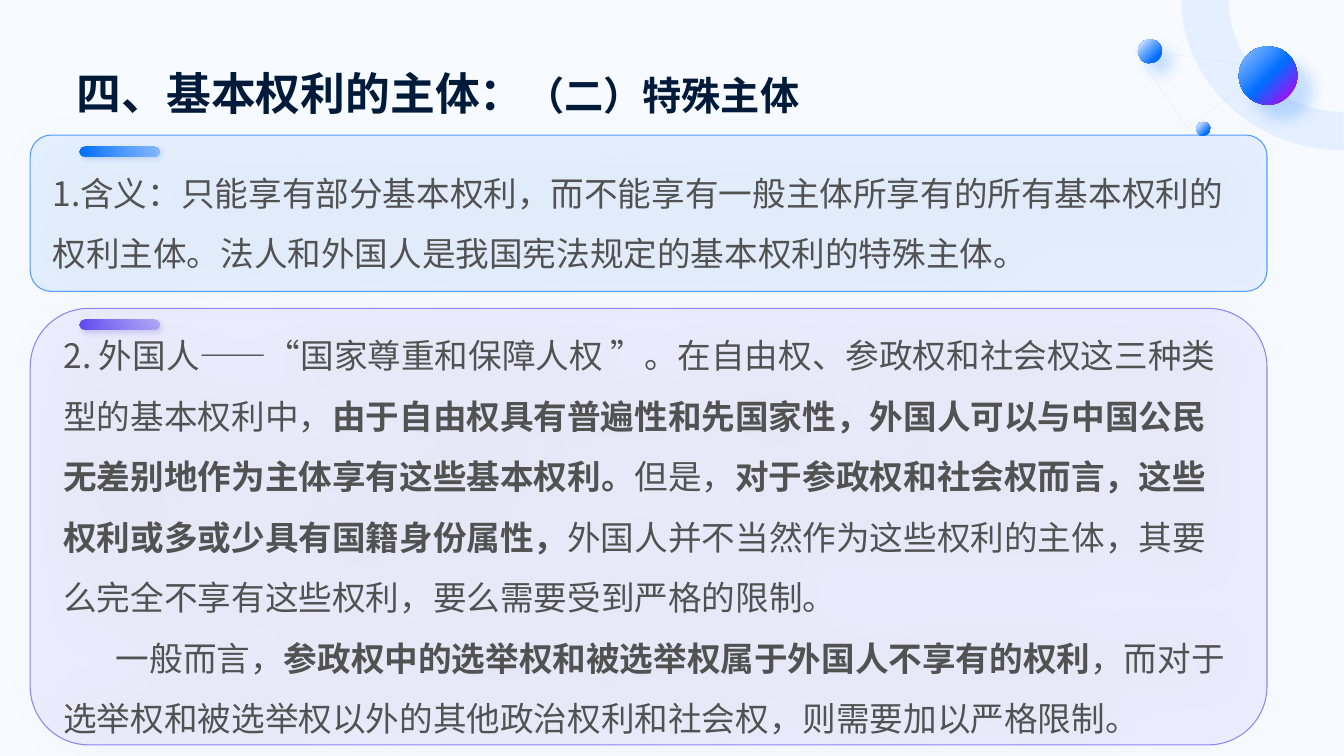
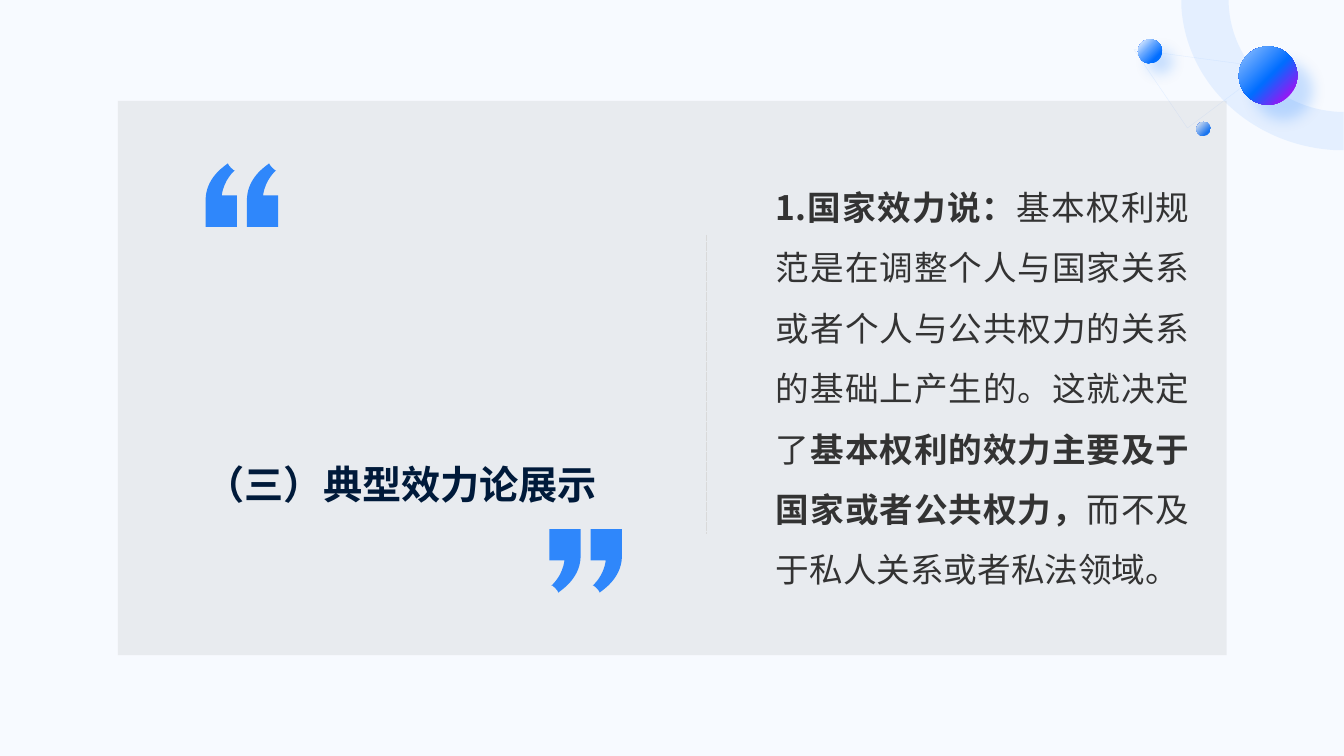
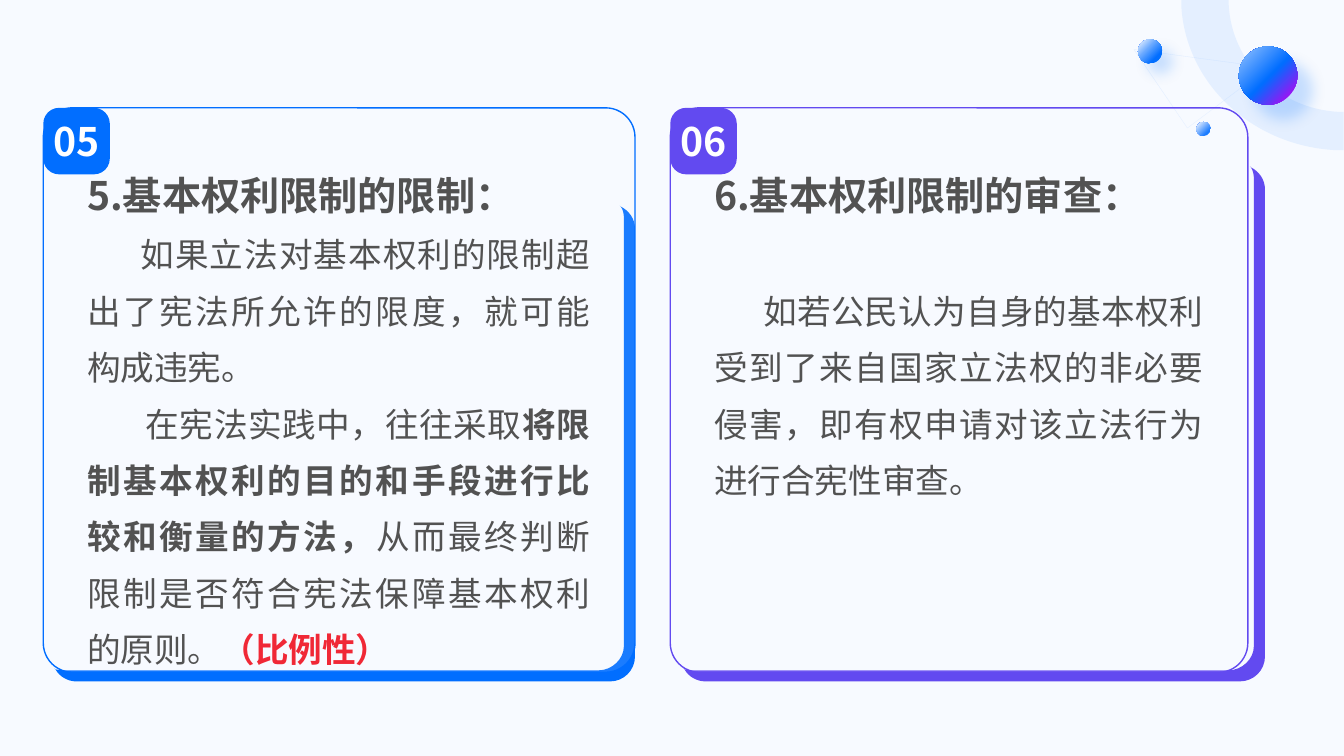
from dataclasses import dataclass
from typing import Optional

from lxml.etree import Element, SubElement
from pptx import Presentation
from pptx.dml.color import RGBColor
from pptx.enum.dml import MSO_LINE
from pptx.enum.shapes import MSO_CONNECTOR, MSO_SHAPE
from pptx.enum.text import MSO_ANCHOR, PP_ALIGN
from pptx.oxml import parse_xml
from pptx.oxml.ns import nsdecls, qn
from pptx.util import Pt

EMU_PER_PX = 9144  # 100 px to the inch
SLIDE_SIZE = (1333.33, 750)
BODY_FONT, TITLE_FONT = "Noto Sans CJK SC", "Arial"
COLORS = {
    "page": "F7FAFF", "white": "FFFFFF", "black": "000000", "navy": "001A3A",
    "ink": "525252", "dark": "333333", "grey": "999999", "rule": "D9D9D9",
    "blue": "016EFF", "sky": "67A8FF", "pale": "99C5FF", "mist": "CCE2FF",
    "deep_blue": "0052C0", "violet": "624AF0", "lilac": "A192F6",
    "deep_violet": "2F12D9", "purple": "9618F4", "red": "F02836",
}


@dataclass(frozen=True)
class Shadow:
    color: str
    opacity: int
    blur: int
    distance: int


@dataclass(frozen=True)
class Span:
    text: str
    bold: bool = False
    size: int = 24
    color: str = "ink"


@dataclass(frozen=True)
class Para:
    spans: list
    leading: Optional[float] = None
    align: PP_ALIGN = PP_ALIGN.LEFT
    indent: int = 0
    before: float = 0


@dataclass(frozen=True)
class Ball:
    left: int
    top: int
    size: int
    stops: list
    shadow: Optional[Shadow] = None


@dataclass(frozen=True)
class Panel:
    top: int
    height: int
    color: str
    tint: str
    shade: str
    paras: list


@dataclass(frozen=True)
class Card:
    left: int
    width: int
    back_left: int
    back_top: int
    back_right: int
    color: str
    number: str
    paras: list


def px(length: float) -> int:
    return round(length * EMU_PER_PX)


def rgb(name: str) -> RGBColor:
    return RGBColor.from_string(COLORS[name])


# Fills, lines and shadows
def set_opacity(shape, route: str, percent: int) -> None:
    if percent < 100:
        color = shape.element.spPr.find(route)[0]
        SubElement(color, qn("a:alpha")).set("val", str(percent * 1000))


def style(shape, *, fill=None, opacity=100, line=None, line_width=0.75,
          line_opacity=100, shadow=None):
    if fill:
        shape.fill.solid()
        shape.fill.fore_color.rgb = rgb(fill)
        set_opacity(shape, qn("a:solidFill"), opacity)
    else:
        shape.fill.background()
    if line:
        shape.line.color.rgb = rgb(line)
        shape.line.width = Pt(line_width)
        set_opacity(shape, f"{qn('a:ln')}/{qn('a:solidFill')}", line_opacity)
    else:
        shape.line.fill.background()
    shape.shadow.inherit = False
    if shadow:
        shape.element.spPr.find(qn("a:effectLst")).append(parse_xml(
            f'<a:outerShdw {nsdecls("a")} blurRad="{Pt(shadow.blur)}" '
            f'dist="{Pt(shadow.distance)}" dir="2700000" algn="tl" rotWithShape="0">'
            f'<a:srgbClr val="{COLORS[shadow.color]}">'
            f'<a:alpha val="{shadow.opacity * 1000}"/></a:srgbClr></a:outerShdw>'))
    return shape


def set_gradient(shape, stops: list, radial: bool) -> None:
    """Stops are (position, colour, opacity)."""
    marks = "".join(
        f'<a:gs pos="{position * 1000}"><a:srgbClr val="{COLORS[color]}">'
        f'<a:alpha val="{opacity * 1000}"/></a:srgbClr></a:gs>'
        for position, color, opacity in stops)
    course = ('<a:path path="circle"><a:fillToRect r="100000" b="100000"/></a:path>'
              if radial else '<a:lin ang="0" scaled="0"/>')
    properties = shape.element.spPr
    properties.replace(properties.find(qn("a:noFill")), parse_xml(
        f'<a:gradFill {nsdecls("a")} rotWithShape="1"><a:gsLst>{marks}</a:gsLst>'
        f'{course}</a:gradFill>'))


# Shapes
def add_box(slide, kind, left, top, width, height, *, radius=None, **look):
    shape = slide.shapes.add_shape(kind, px(left), px(top), px(width), px(height))
    if radius is not None:
        shape.adjustments[0] = radius
    return style(shape, **look)


def add_outline(slide, steps: list, **look):
    """Steps are (x, y) for a line and six numbers for a Bezier curve."""
    corners = [(px(x), px(y)) for step in steps for x, y in zip(step[::2], step[1::2])]
    builder = slide.shapes.build_freeform(*corners[0], scale=1.0)
    builder.add_line_segments(corners[1:], close=True)
    shape = builder.convert_to_shape()
    segments = iter(list(shape.element.spPr.iter(qn("a:lnTo"))))
    for step in steps[1:]:
        group = [next(segments) for _ in range(len(step) // 2)]
        if len(group) == 3:
            curve = Element(qn("a:cubicBezTo"))
            group[0].addprevious(curve)
            for segment in group:
                curve.append(segment[0])
                segment.getparent().remove(segment)
    return style(shape, **look)


# Text
def write_text(shape, paras: list, *, anchor=MSO_ANCHOR.MIDDLE,
               insets=(10, 5, 10, 5), wrap=True, font=BODY_FONT) -> None:
    frame = shape.text_frame
    frame.word_wrap = wrap
    frame.vertical_anchor = anchor
    (frame.margin_left, frame.margin_top,
     frame.margin_right, frame.margin_bottom) = map(px, insets)
    for index, para in enumerate(paras):
        paragraph = frame.add_paragraph() if index else frame.paragraphs[0]
        paragraph.alignment = para.align
        if para.leading:
            paragraph.line_spacing = Pt(para.leading)
        if para.before:
            paragraph.space_before = Pt(para.before)
        if para.indent:
            properties = paragraph._p.get_or_add_pPr()
            properties.set("marL", "0")
            properties.set("indent", str(px(para.indent)))
        for span in para.spans:
            run = paragraph.add_run()
            run.text = span.text
            run.font.size, run.font.bold = Pt(span.size), span.bold
            run.font.color.rgb = rgb(span.color)
            run.font.name = font
            SubElement(run._r.get_or_add_rPr(), qn("a:ea")).set("typeface", BODY_FONT)


def add_text(slide, left, top, width, height, paras, **layout) -> None:
    box = slide.shapes.add_textbox(px(left), px(top), px(width), px(height))
    write_text(box, paras, **layout)


def add_title(slide, left, top, width, height, *spans) -> None:
    add_text(slide, left, top, width, height, [Para(list(spans))],
             anchor=MSO_ANCHOR.BOTTOM, insets=(0, 0, 0, 0), font=TITLE_FONT)


def title_span(text: str, size: int = 28) -> Span:
    return Span(text, True, size, "navy")


# Shared background, kept on the layout
BALLS = [
    Ball(1229, 46, 58, [(0, "pale", 100), (52, "blue", 100), (85, "purple", 100)],
         Shadow("blue", 20, 10, 15)),
    Ball(1129, 39, 24, [(12, "mist", 100), (40, "sky", 100), (75, "blue", 100)],
         Shadow("blue", 20, 10, 10)),
    Ball(1187, 121, 14, [(13, "mist", 100), (75, "blue", 100)]),
]
RING = [(1172, 0), (1219, 0), (1219, 5), (1222, 62, 1269, 108, 1328, 111),
        (1333, 111), (1333, 149), (1326, 149), (1243, 145, 1177, 84, 1172, 7)]


def decorate_layout(layout, slide) -> None:
    for placeholder in list(layout.placeholders):
        placeholder.element.getparent().remove(placeholder.element)
    add_box(slide, MSO_SHAPE.RECTANGLE, 0, 0, *SLIDE_SIZE, fill="page")
    add_outline(slide, [(1125, 49), (1258, 67), (1178, 127)],
                line="mist", line_width=0.25, line_opacity=50)
    add_outline(slide, RING, fill="pale", opacity=20)
    for ball in BALLS:
        shape = add_box(slide, MSO_SHAPE.OVAL, ball.left, ball.top, ball.size, ball.size,
                        shadow=ball.shadow)
        set_gradient(shape, ball.stops, radial=True)
    for shape in list(slide.shapes):
        layout.element.cSld.spTree.append(shape.element)


# Slide 1: special subjects
PANEL_LEADING = 43.2
PANELS = [
    Panel(134, 155, "blue", "sky", "deep_blue", [
        Para([Span("1.含义：只能享有部分基本权利，而不能享有一般主体所享有的所有基本权利的"
                   "权利主体。法人和外国人是我国宪法规定的基本权利的特殊主体。")],
             PANEL_LEADING)]),
    Panel(306, 433, "violet", "lilac", "deep_violet", [
        Para([Span("2. 外国人——“国家尊重和保障人权 ”。在自由权、参政权和社会权这三种类型的"
                   "基本权利中，"),
              Span("由于自由权具有普遍性和先国家性，外国人可以与中国公民无差别地作为主体享有"
                   "这些基本权利。", True),
              Span("但是，"),
              Span("对于参政权和社会权而言，这些权利或多或少具有国籍身份属性，", True),
              Span("外国人并不当然作为这些权利的主体，其要么完全不享有这些权利，要么需要受到"
                   "严格的限制。")], PANEL_LEADING),
        Para([Span("一般而言，"),
              Span("参政权中的选举权和被选举权属于外国人不享有的权利", True),
              Span("，而对于选举权和被选举权以外的其他政治权利和社会权，则需要加以严格限制。")],
             PANEL_LEADING, indent=52)]),
]


def build_subjects(slide) -> None:
    add_title(slide, 76, 39, 1181, 79,
              title_span("四、基本权利的主体：", 32), title_span("（二）特殊主体"))
    for panel in PANELS:
        box = add_box(slide, MSO_SHAPE.ROUNDED_RECTANGLE, 30, panel.top, 1227, panel.height,
                      radius=0.134, fill=panel.tint, opacity=12, line=panel.color,
                      line_opacity=65, shadow=Shadow("black", 7, 35, 3))
        write_text(box, panel.paras, insets=(16, 0, 16, 0))
        tab = add_box(slide, MSO_SHAPE.ROUNDED_RECTANGLE, 79, panel.top + 11, 79, 10,
                      radius=0.5, shadow=Shadow(panel.shade, 20, 4, 3))
        set_gradient(tab, [(0, panel.color, 100), (100, panel.tint, 71)], radial=False)


# Slide 2: theories of effect
QUOTE_WIDTH, QUOTE_HEIGHT = 31, 63
QUOTE = [(9, 63), (8, 61), (7, 59, 5, 58, 3, 56), (2, 56), (2, 56, 13, 47, 15, 31),
         (0, 31), (0, 0), (31, 0), (31, 28), (30, 51, 9, 62, 9, 63)]


def add_quote(slide, left: int, top: int, opening: bool) -> None:
    steps = []
    for step in QUOTE:
        pairs = zip(step[::2], step[1::2])
        if opening:
            pairs = [(QUOTE_WIDTH - x, QUOTE_HEIGHT - y) for x, y in pairs]
        steps.append(tuple(value for x, y in pairs for value in (left + x, top + y)))
    add_outline(slide, steps, fill="blue", opacity=80)


def build_theories(slide) -> None:
    add_box(slide, MSO_SHAPE.RECTANGLE, 117, 100, 1100, 550, fill="grey", opacity=15)
    divider = slide.shapes.add_connector(MSO_CONNECTOR.STRAIGHT,
                                         px(700), px(233), px(700), px(529))
    divider.line.color.rgb = rgb("rule")
    divider.line.width = Pt(0.1)
    divider.line.dash_style = MSO_LINE.DASH
    SubElement(divider.element.spPr, qn("a:effectLst"))
    for left, top, opening in ((204, 162, True), (545, 525, False)):
        for shift in (0, 41):
            add_quote(slide, left + shift, top, opening)
    add_text(slide, 760, 131, 430, 488, [Para([
        Span("1.国家效力说：", True, color="dark"),
        Span("基本权利规范是在调整个人与国家关系或者个人与公共权力的关系的基础上产生的。"
             "这就决定了", color="dark"),
        Span("基本权利的效力主要及于国家或者公共权力，", True, color="dark"),
        Span("而不及于私人关系或者私法领域。", color="dark"),
    ], PANEL_LEADING, PP_ALIGN.JUSTIFY)])
    add_title(slide, 204, 245, 413, 258, title_span("（三）典型效力论展示"))


# Slide 3: limits and review
CARD_LEADING = 40.3


def card_heading(text: str) -> Para:
    return Para([Span(text, True, 28)], 47.5, PP_ALIGN.JUSTIFY)


def card_body(indent: int, *spans: Span, before: float = 0) -> Para:
    return Para(list(spans), CARD_LEADING, PP_ALIGN.JUSTIFY, indent, before)


CARDS = [
    Card(43, 587, 54, 204, 630, "blue", "05", [
        card_heading("5.基本权利限制的限制："),
        card_body(53, Span("如果立法对基本权利的限制超出了宪法所允许的限度，就可能构成违宪。")),
        card_body(58, Span("在宪法实践中，往往采取"),
                  Span("将限制基本权利的目的和手段进行比较和衡量的方法，", True),
                  Span("从而最终判断限制是否符合宪法保障基本权利的原则。"),
                  Span("（比例性）", True, color="red"))]),
    Card(665, 573, 678, 165, 1255, "violet", "06", [
        card_heading("6.基本权利限制的审查："),
        card_body(49, Span("如若公民认为自身的基本权利受到了来自国家立法权的非必要侵害，"
                           "即有权申请对该立法行为进行合宪性审查。"), before=CARD_LEADING)]),
]


def add_backing(slide, left: int, top: int, right: int, bottom: int, color: str) -> None:
    inner, floor = right - 11, bottom - 11
    add_outline(slide, [
        (right - 15, top), (right - 14, top + 1),
        (right - 6, top + 5, right, top + 13, right, top + 23), (right, bottom - 25),
        (right, bottom - 11, right - 11, bottom, right - 25, bottom), (left + 22, bottom),
        (left + 13, bottom, left + 5, bottom - 5, left + 1, bottom - 12),
        (left, bottom - 13), (left + 1, bottom - 12),
        (left + 4, floor, left + 7, floor, left + 11, floor), (inner - 25, floor),
        (inner - 12, floor, inner, floor - 11, inner, floor - 24), (inner, top + 12),
        (inner, top + 8, inner - 1, top + 4, right - 14, top + 1)], fill=color)


def build_limits(slide) -> None:
    for card in CARDS:
        add_backing(slide, card.back_left, card.back_top, card.back_right, 676, card.color)
        box = add_box(slide, MSO_SHAPE.ROUNDED_RECTANGLE, card.left, 107, card.width, 560,
                      radius=0.052, fill="white", opacity=10, line=card.color, line_width=1)
        write_text(box, card.paras, anchor=MSO_ANCHOR.TOP, insets=(35, 35, 36, 76))
    for card in CARDS:
        badge = add_box(slide, MSO_SHAPE.ROUNDED_RECTANGLE, card.left, 107, 66, 66,
                        radius=0.238, fill=card.color)
        write_text(badge, [Para([Span(card.number, True, 28, "white")],
                                align=PP_ALIGN.CENTER)], wrap=False)


def main() -> None:
    deck = Presentation()
    deck.slide_width, deck.slide_height = map(px, SLIDE_SIZE)
    blank = deck.slide_layouts[6]
    for index, build in enumerate((build_subjects, build_theories, build_limits)):
        slide = deck.slides.add_slide(blank)
        if index == 0:
            decorate_layout(blank, slide)
        build(slide)
    deck.save("out.pptx")


if __name__ == "__main__":
    main()
